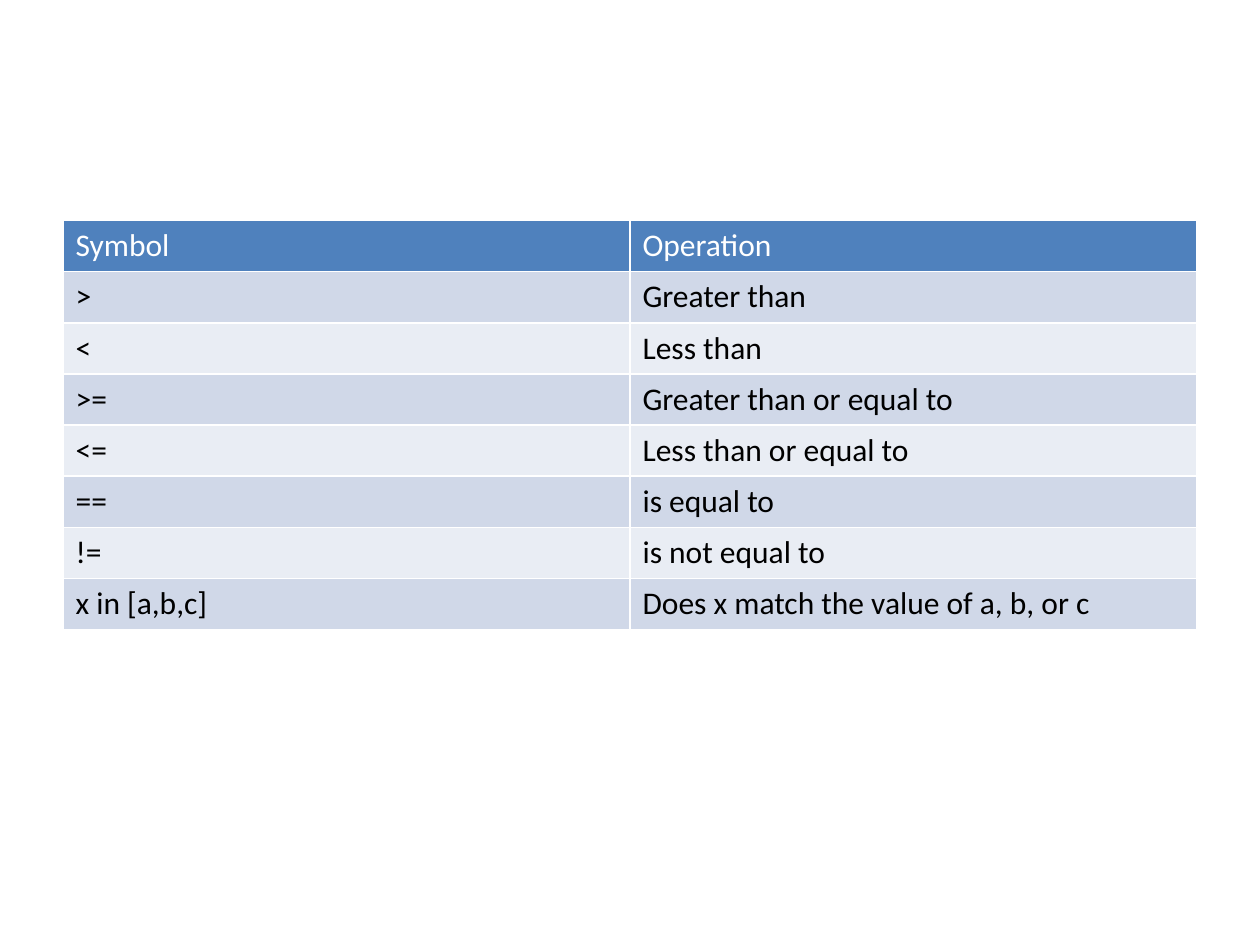
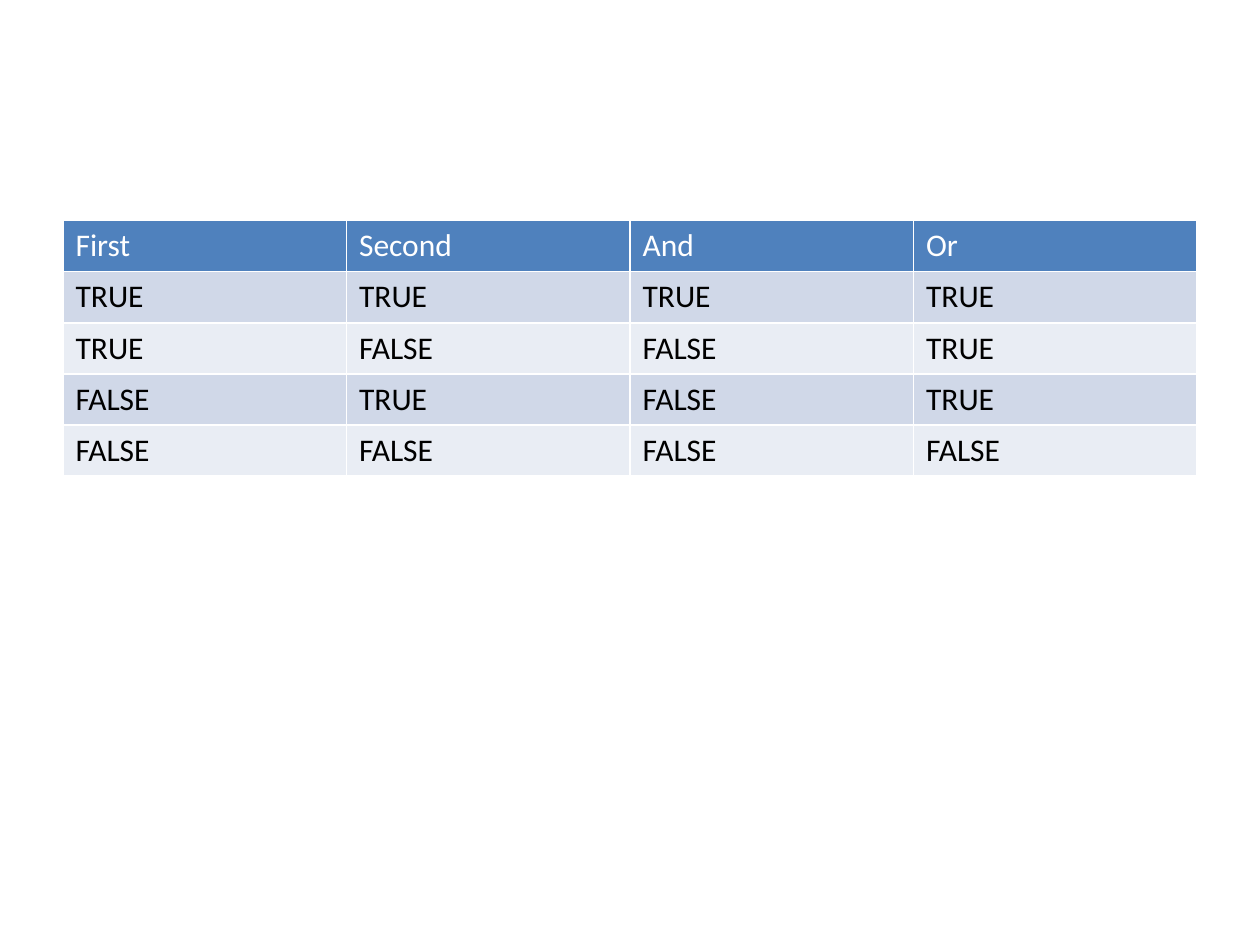
from dataclasses import dataclass

from lxml.etree import SubElement
from pptx import Presentation
from pptx.dml.color import RGBColor
from pptx.oxml.ns import qn
from pptx.presentation import Presentation as Deck
from pptx.table import _Cell
from pptx.util import Emu, Pt

# Shared look
WHITE = RGBColor(0xFF, 0xFF, 0xFF)
BLACK = RGBColor(0x00, 0x00, 0x00)
HEADER_BLUE = RGBColor(0x4F, 0x81, 0xBD)
BAND_DARK = RGBColor(0xD0, 0xD8, 0xE8)
BAND_LIGHT = RGBColor(0xE9, 0xED, 0xF4)
FONT_FORMAT = {"name": "Calibri", "size": Pt(18), "bold": False}
BORDER_WIDTH = Pt(1)
BORDER_SIDES = ("a:lnL", "a:lnR", "a:lnT", "a:lnB")

# Layout in px, 96 to the inch
EMU_PER_PX = 9525
SLIDE_WIDTH, SLIDE_HEIGHT = 960, 720
TABLE_LEFT, TABLE_TOP, TABLE_WIDTH = 48, 168, 864
ROW_HEIGHT = 39
BLANK_LAYOUT = 6


@dataclass(frozen=True)
class TableContent:
    header: tuple[str, ...]
    body: tuple[tuple[str, ...], ...]


COMPARISONS = TableContent(
    header=("Symbol", "Operation"),
    body=(
        (">", "Greater than"),
        ("<", "Less than"),
        (">=", "Greater than or equal to"),
        ("<=", "Less than or equal to"),
        ("==", "is equal to"),
        ("!=", "is not equal to"),
        ("x in [a,b,c]", "Does x match the value of a, b, or c"),
    ),
)
TRUTH_TABLE = TableContent(
    header=("First", "Second", "And", "Or"),
    body=(
        ("TRUE", "TRUE", "TRUE", "TRUE"),
        ("TRUE", "FALSE", "FALSE", "TRUE"),
        ("FALSE", "TRUE", "FALSE", "TRUE"),
        ("FALSE", "FALSE", "FALSE", "FALSE"),
    ),
)


def px(length: int) -> Emu:
    return Emu(length * EMU_PER_PX)


def add_borders(cell: _Cell) -> None:
    """Rule all four sides in white; lines must come before the fill."""
    properties = cell._tc.get_or_add_tcPr()
    for position, side in enumerate(BORDER_SIDES):
        line = SubElement(properties, qn(side), w=str(BORDER_WIDTH))
        fill = SubElement(line, qn("a:solidFill"))
        SubElement(fill, qn("a:srgbClr"), val=str(WHITE))
        properties.insert(position, line)


def format_cell(cell: _Cell, text: str, fill: RGBColor, color: RGBColor) -> None:
    cell.text = text
    cell.fill.solid()
    cell.fill.fore_color.rgb = fill
    font = cell.text_frame.paragraphs[0].runs[0].font
    for attribute, value in FONT_FORMAT.items():
        setattr(font, attribute, value)
    font.color.rgb = color
    add_borders(cell)


def add_table_slide(presentation: Deck, content: TableContent) -> None:
    slide = presentation.slides.add_slide(presentation.slide_layouts[BLANK_LAYOUT])
    rows = (content.header, *content.body)
    table = slide.shapes.add_table(
        len(rows), len(content.header),
        px(TABLE_LEFT), px(TABLE_TOP), px(TABLE_WIDTH), px(ROW_HEIGHT * len(rows)),
    ).table

    # Header row, then alternating bands
    for row_index, row in enumerate(rows):
        if row_index == 0:
            fill, color = HEADER_BLUE, WHITE
        else:
            fill, color = (BAND_DARK if row_index % 2 else BAND_LIGHT), BLACK
        for column_index, text in enumerate(row):
            format_cell(table.cell(row_index, column_index), text, fill, color)


def main() -> None:
    presentation = Presentation()
    presentation.slide_width = px(SLIDE_WIDTH)
    presentation.slide_height = px(SLIDE_HEIGHT)
    for content in (COMPARISONS, TRUTH_TABLE):
        add_table_slide(presentation, content)
    presentation.save("out.pptx")


if __name__ == "__main__":
    main()
